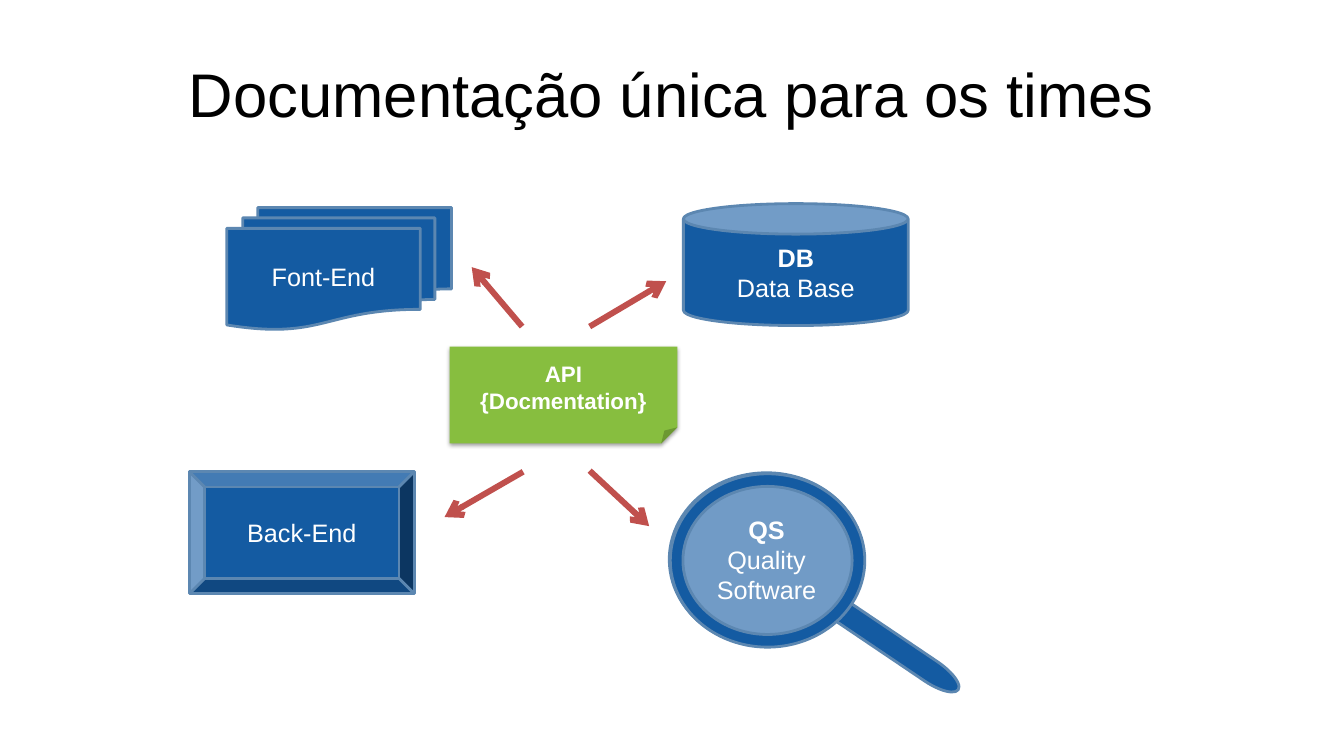
"""Build the slide on a single documentation shared by the teams."""
from lxml import etree
from pptx import Presentation
from pptx.dml.color import RGBColor
from pptx.enum import shapes, text
from pptx.oxml import ns
from pptx import util as u

COLORS = {"ink": "000000", "white": "FFFFFF", "blue": "145BA2", "edge": "5C87B1",
          "glass": "719BC6", "green": "87BE3F", "red": "C0504D"}
COLS, ROWS = 80, 45
WIDTH, HEIGHT = u.Inches(13.333), u.Inches(7.5)
BOX = (13.38, 7.26)
LENS = (11.58, 10.32)
KIND = shapes.MSO_SHAPE


def rgb(name):
    """Return the named colour."""
    return RGBColor.from_string(COLORS[name])


def x(col):
    """Turn grid columns into a length."""
    return round(WIDTH * col / COLS)


def y(row):
    """Turn grid rows into a length."""
    return round(HEIGHT * row / ROWS)


def apply(obj, **formats):
    """Set each format value as an attribute of the object."""
    for name, value in formats.items():
        setattr(obj, name, value)


def place(sp, col, row, cols, rows):
    """Put a shape on the grid."""
    apply(sp, left=x(col), top=y(row), width=x(cols), height=y(rows))


def write(sp, lines, size, color="white"):
    """Write centred lines, each a pair of wording and boldness."""
    tf = sp.text_frame
    apply(tf, word_wrap=True, vertical_anchor=text.MSO_ANCHOR.MIDDLE)
    for i, (words, bold) in enumerate(lines):
        p = tf.add_paragraph() if i else tf.paragraphs[0]
        p.alignment = text.PP_ALIGN.CENTER
        r = p.add_run()
        r.text = words
        apply(r.font, name="Arial", size=u.Pt(size), bold=bold)
        r.font.color.rgb = rgb(color)


def add_block(s, kind, spot, size, fill="blue", lines=(), pt=18, edge="edge"):
    """Add a filled preset shape with its label."""
    sp = s.shapes.add_shape(kind, 0, 0, 0, 0)
    place(sp, *spot, *size)
    sp.shadow.inherit = False
    sp.fill.solid()
    sp.fill.fore_color.rgb = rgb(fill)
    if edge:
        sp.line.color.rgb = rgb(edge)
        sp.line.width = u.Pt(2)
    else:
        sp.line.fill.background()
    if lines:
        write(sp, lines, pt)
    return sp


def add_shadow(sp):
    """Give a shape a soft shadow below it."""
    effects = sp._element.spPr.find(ns.qn("a:effectLst"))
    shadow = etree.SubElement(effects, ns.qn("a:outerShdw"), blurRad=str(u.Pt(3.1)),
                              dist=str(u.Pt(1.6)), dir="5400000", rotWithShape="0")
    color = etree.SubElement(shadow, ns.qn("a:srgbClr"), val=COLORS["ink"])
    etree.SubElement(color, ns.qn("a:alpha"), val="38000")


def add_arrow(s, start, end):
    """Add a thick red arrow between two grid points."""
    line = s.shapes.add_connector(shapes.MSO_CONNECTOR.STRAIGHT, x(start[0]),
                                  y(start[1]), x(end[0]), y(end[1]))
    line.line.color.rgb = rgb("red")
    line.line.width = u.Pt(4.25)
    etree.SubElement(line.line._get_or_add_ln(), ns.qn("a:tailEnd"), type="arrow")
    etree.SubElement(line._element.spPr, ns.qn("a:effectLst"))


def main():
    """Build and save the slide."""
    prs = Presentation()
    apply(prs, slide_width=WIDTH, slide_height=HEIGHT)
    s = prs.slides.add_slide(prs.slide_layouts[5])
    place(s.shapes.title, 4, 1.8, 72, 7.5)
    write(s.shapes.title, [("Documentação única para os times", False)], 44, "ink")

    api = add_block(s, KIND.FOLDED_CORNER, (26.76, 20.64), (13.56, 5.76), "green",
                    [("API", True), ("{Docmentation}", True)], 16, None)
    add_shadow(api)

    handle = add_block(s, KIND.FLOWCHART_TERMINATOR, (45.9, 36.96), (12.18, 1.38))
    handle.rotation = 34
    add_block(s, KIND.OVAL, (39.84, 28.14), LENS, "glass",
              [("QS", True), ("Quality Software", False)])
    rim = add_block(s, KIND.DONUT, (39.9, 28.2), LENS)
    rim.adjustments[0] = 0.073

    for kind, spot, lines in (
            (KIND.BEVEL, (11.28, 28.08), [("Back-End", False)]),
            (KIND.FLOWCHART_MULTIDOCUMENT, (13.5, 12.36), [("Font-End", False)]),
            (KIND.CAN, (40.68, 12.12), [("DB", True), ("Data Base", False)])):
        add_block(s, kind, spot, BOX, lines=lines)

    for start, end in (((35.1, 19.44), (39.66, 16.74)), ((31.08, 19.44), (28.08, 15.9)),
                       ((35.1, 28.02), (38.64, 31.32)), ((31.14, 28.08), (26.46, 30.78))):
        add_arrow(s, start, end)
    prs.save("out.pptx")


if __name__ == "__main__":
    main()
